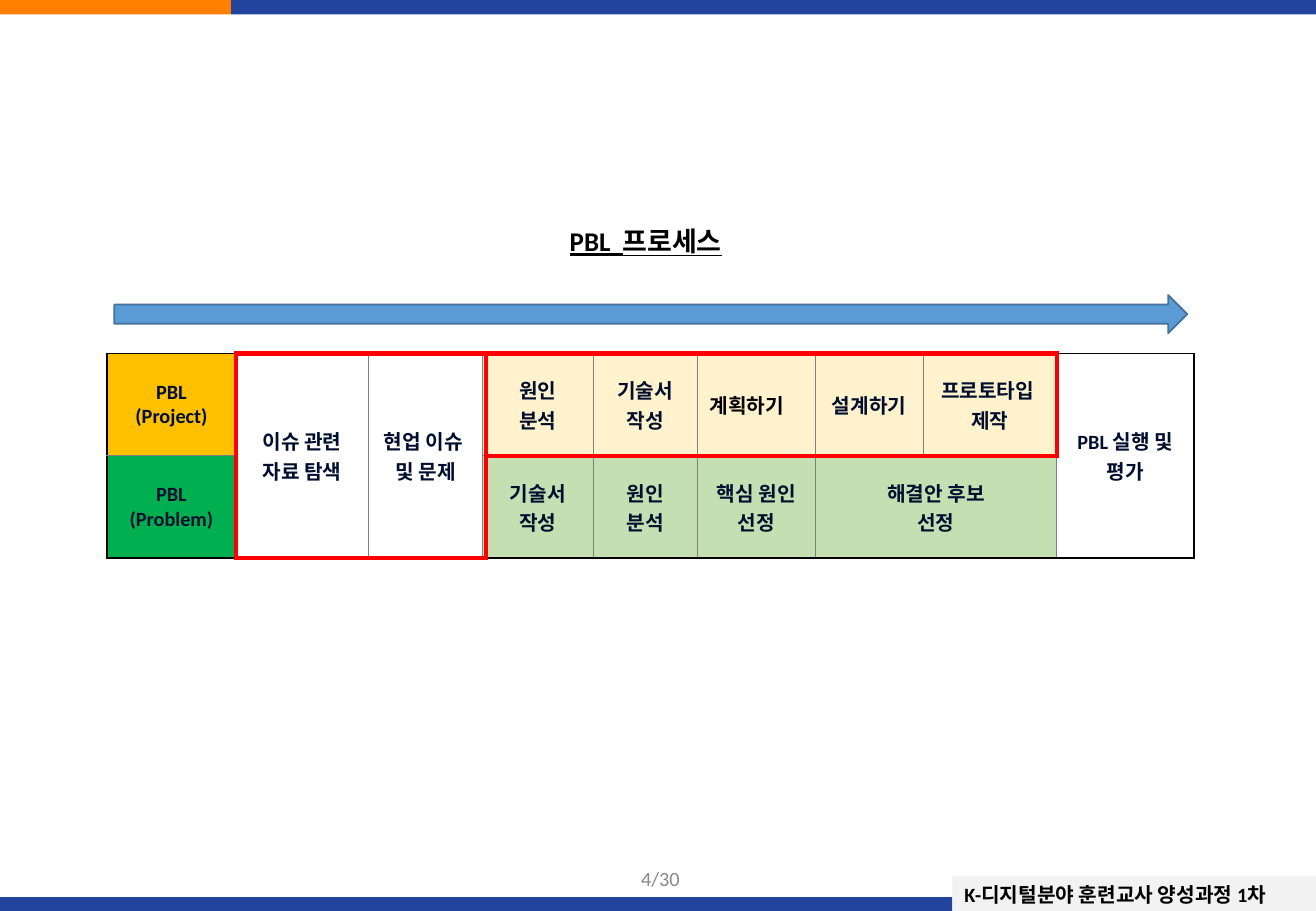
import pptx
import pptx.dml.color
import pptx.enum.shapes
import pptx.enum.text
import pptx.oxml
import pptx.oxml.ns
import pptx.util
from dataclasses import dataclass

Cm, Pt = pptx.util.Cm, pptx.util.Pt
Shape = pptx.enum.shapes.MSO_SHAPE
Anchor = pptx.enum.text.MSO_ANCHOR
Align = pptx.enum.text.PP_ALIGN


@dataclass(frozen=True)
class Theme:
    font: str = "Calibri"
    plain_font: str = "Arial"
    title_size: int = 16
    body_size: int = 12
    black: str = "000000"
    navy: str = "000F2F"
    grey: str = "888888"
    grid: str = "7F7F7F"
    red: str = "FF0000"
    blue: str = "22449C"
    orange: str = "FF7F00"
    label: str = "F2F2F2"
    arrow: str = "5B9BD5"
    arrow_line: str = "42719B"
    gold: str = "FFC000"
    green: str = "00B050"
    cream: str = "FFF2CC"
    mint: str = "C4E0B2"


def rgb(color):
    return pptx.dml.color.RGBColor.from_string(color)


def apply(target, formats):
    for name, value in formats.items():
        setattr(target, name, value)


class SlideBuilder:
    def __init__(self, presentation, theme):
        self.theme = theme
        self.slide = presentation.slides.add_slide(presentation.slide_layouts[5])

    def fill_text(self, frame, text, color, align=Align.LEFT, **formats):
        """Fill a text frame, one paragraph per line of text."""
        defaults = {"name": self.theme.font, "size": Pt(self.theme.body_size), "bold": True}
        for index, line in enumerate(text.split("\n")):
            paragraph = frame.add_paragraph() if index else frame.paragraphs[0]
            paragraph.alignment = align
            run = paragraph.add_run()
            run.text = line
            apply(run.font, defaults | formats)
            run.font.color.rgb = rgb(color)

    def place(self, shape, box):
        apply(shape, dict(zip(("left", "top", "width", "height"), map(Cm, box))))

    def set_frame(self, frame, anchor):
        apply(frame, {
            "word_wrap": True, "auto_size": pptx.enum.text.MSO_AUTO_SIZE.NONE,
            "vertical_anchor": anchor,
            "margin_left": Cm(0.25), "margin_right": Cm(0.25),
            "margin_top": Cm(0.13), "margin_bottom": Cm(0.13),
        })

    def title(self, text, box):
        title = self.slide.shapes.title
        self.place(title, box)
        self.set_frame(title.text_frame, Anchor.TOP)
        self.fill_text(title.text_frame, text, self.theme.black,
                       size=Pt(self.theme.title_size), underline=True)

    def text(self, text, box, color, align, **formats):
        text_box = self.slide.shapes.add_textbox(*map(Cm, box))
        self.set_frame(text_box.text_frame, Anchor.MIDDLE)
        self.fill_text(text_box.text_frame, text, color, align, **formats)

    def shape(self, kind, box, fill, line=None):
        shape = self.slide.shapes.add_shape(kind, *map(Cm, box))
        shape.shadow.inherit = False
        shape.fill.solid()
        shape.fill.fore_color.rgb = rgb(fill)
        if line:
            shape.line.color.rgb = rgb(line)
            shape.line.width = Pt(1)
        else:
            shape.line.fill.background()
        return shape

    def label(self, text, box):
        label = self.shape(Shape.RECTANGLE, box, self.theme.label)
        self.set_frame(label.text_frame, Anchor.TOP)
        self.fill_text(label.text_frame, text, self.theme.black)

    def table(self, left, top, widths, heights):
        graphic = self.slide.shapes.add_table(
            len(heights), len(widths), Cm(left), Cm(top), Cm(sum(widths)), Cm(sum(heights)))
        table = graphic.table
        apply(table, {"first_row": False, "horz_banding": False})
        for column, width in zip(table.columns, widths):
            column.width = Cm(width)
        for row, height in zip(table.rows, heights):
            row.height = Cm(height)
        return table

    def cell(self, table, row, column, text="", fill=None, span=(1, 1), outer=None,
             color=None, align=Align.CENTER, **formats):
        cell = table.cell(row, column)
        last_row, last_column = row + span[0] - 1, column + span[1] - 1
        if span != (1, 1):
            cell.merge(table.cell(last_row, last_column))
        # Outer edges use the outer line, inner edges the thin grid
        edges = {
            "L": column == 0, "R": last_column == len(table.columns) - 1,
            "T": row == 0, "B": last_row == len(table.rows) - 1,
        }
        outer = outer or (self.theme.black, 1)
        properties = cell._tc.get_or_add_tcPr()
        for side, is_outer in edges.items():
            line_color, width = outer if is_outer else (self.theme.grid, 0.75)
            properties.append(pptx.oxml.parse_xml(
                f'<a:ln{side} {pptx.oxml.ns.nsdecls("a")} w="{Pt(width)}"><a:solidFill>'
                f'<a:srgbClr val="{line_color}"/></a:solidFill></a:ln{side}>'))
        if fill:
            cell.fill.solid()
            cell.fill.fore_color.rgb = rgb(fill)
        else:
            cell.fill.background()
        cell.vertical_anchor = Anchor.MIDDLE
        if text:
            self.fill_text(cell.text_frame, text, color or self.theme.navy, align, **formats)


def main():
    presentation = pptx.Presentation()
    apply(presentation, {"slide_width": Cm(27.51), "slide_height": Cm(19.05)})
    theme = Theme()
    page = SlideBuilder(presentation, theme)

    # Top and bottom bands
    page.shape(Shape.RECTANGLE, (4.83, 0, 22.68, 0.3), theme.blue)
    page.shape(Shape.RECTANGLE, (0, 0, 4.83, 0.3), theme.orange)
    page.shape(Shape.RECTANGLE, (0, 18.76, 19.91, 0.29), theme.blue)
    page.label("K-디지털분야 훈련교사 양성과정 1차", (19.91, 18.31, 7.6, 0.74))

    # Title and process arrow
    page.title("PBL  프로세스", (11.66, 4.57, 4.2, 0.94))
    page.shape(Shape.RIGHT_ARROW, (2.39, 6.17, 22.43, 0.8), theme.arrow, theme.arrow_line)

    # Process table
    left, top, row_height = 2.24, 7.39, 2.14
    widths = [2.69, 2.77, 2.39, 2.31, 2.18, 2.46, 2.26, 2.79, 2.87]
    table = page.table(left, top, widths, [row_height] * 2)
    page.cell(table, 0, 0, "PBL\n(Project)", theme.gold)
    page.cell(table, 1, 0, "PBL\n(Problem)", theme.green)
    shared_steps = {1: "이슈 관련\n자료 탐색", 2: "현업 이슈 \n및 문제", 8: "PBL 실행 및 평가"}
    for column, text in shared_steps.items():
        page.cell(table, 0, column, text, span=(2, 1))
    project_steps = {3: "원인\n분석", 4: "기술서\n작성", 6: "설계하기", 7: "프로토타입 \n제작"}
    for column, text in project_steps.items():
        page.cell(table, 0, column, text, theme.cream)
    page.cell(table, 0, 5, "계획하기", theme.cream, color=theme.black,
              align=Align.LEFT, name=theme.plain_font)
    problem_steps = {3: "기술서\n작성", 4: "원인\n분석", 5: "핵심 원인\n선정"}
    for column, text in problem_steps.items():
        page.cell(table, 1, column, text, theme.mint)
    page.cell(table, 1, 6, "해결안 후보\n선정", theme.mint, span=(1, 2))

    # Red highlight frames
    for frame_left, width, rows in ((10.16, 11.94, 1), (4.93, 5.23, 2)):
        frame = page.table(frame_left, top, [width], [rows * row_height])
        page.cell(frame, 0, 0, outer=(theme.red, 3))

    # Page number
    page.text("4/30", (8.26, 17.86, 6.2, 1.02), theme.grey, Align.RIGHT, bold=False)

    presentation.save("out.pptx")


if __name__ == "__main__":
    main()
